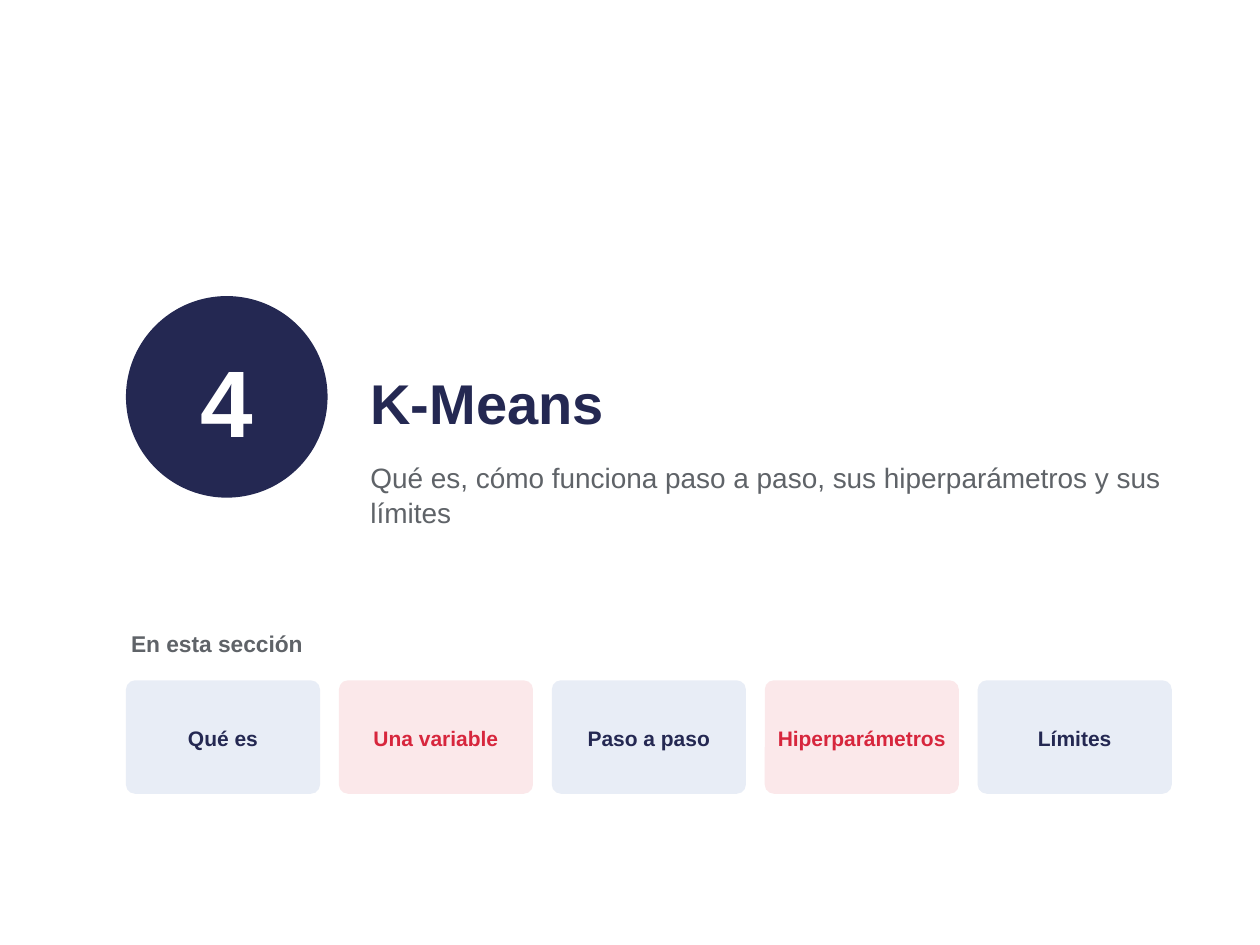
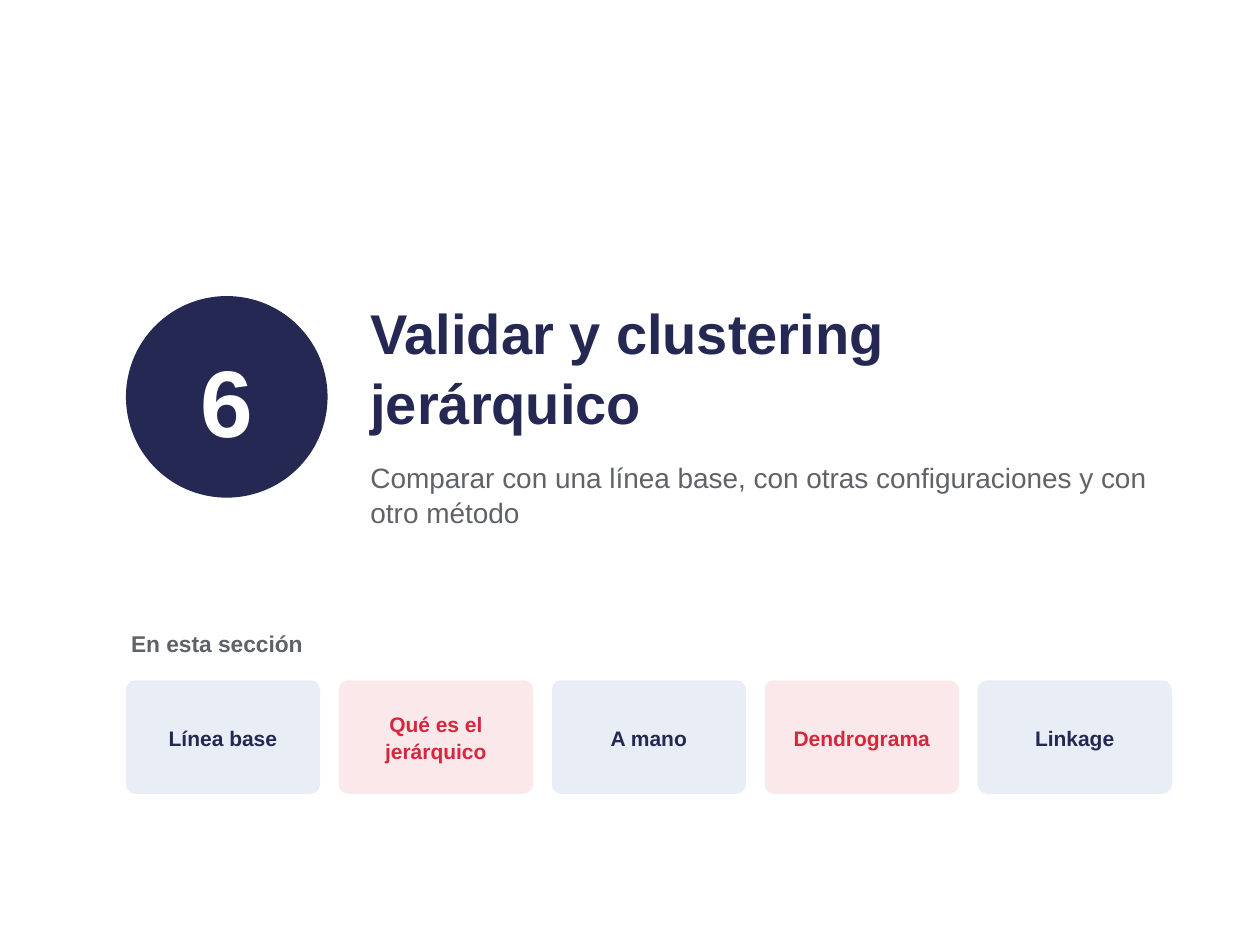
"""Builds two section openers with a numbered disc, a heading and a row of topic cards."""
from dataclasses import dataclass

from pptx import Presentation
from pptx.dml.color import RGBColor
from pptx.enum.shapes import MSO_SHAPE
from pptx.enum.text import MSO_ANCHOR, MSO_AUTO_SIZE, PP_ALIGN
from pptx.util import Pt

OVAL, ROUNDED = MSO_SHAPE.OVAL, MSO_SHAPE.ROUNDED_RECTANGLE
TOP, MIDDLE, BOTTOM = MSO_ANCHOR.TOP, MSO_ANCHOR.MIDDLE, MSO_ANCHOR.BOTTOM
LEFT, CENTER = PP_ALIGN.LEFT, PP_ALIGN.CENTER
NO_AUTOFIT = MSO_AUTO_SIZE.NONE


@dataclass(frozen=True)
class Theme:
    """Colours, type sizes and spacing shared by the slides."""
    font: str = "Arial"
    navy: str = "242852"
    red: str = "D7263D"
    gray: str = "5F6368"
    white: str = "FFFFFF"
    pale_blue: str = "E8EDF6"
    pale_red: str = "FBE8EA"
    number_size: int = 54
    title_size: int = 32
    subtitle_size: int = 16
    label_size: int = 13
    card_size: int = 12
    line_spacing: float = 1.05
    text_inset: float = 2.88
    shape_inset: float = 5.76
    margin: float = 72
    content_width: float = 597.6
    heading_left: float = 208.8
    heading_width: float = 460.8
    card_gap: float = 10.8


def write(sp, text, *, theme, size, color, bold=True, align=LEFT, anchor=TOP, inset, after=4):
    """Write one formatted paragraph into a shape."""
    tf = sp.text_frame
    tf.word_wrap = True
    tf.auto_size = NO_AUTOFIT
    tf.vertical_anchor = anchor
    tf.margin_left = tf.margin_right = tf.margin_top = tf.margin_bottom = Pt(inset)
    p = tf.paragraphs[0]
    p.alignment = align
    p.line_spacing = theme.line_spacing
    p.space_before, p.space_after = Pt(0), Pt(after)
    r = p.add_run()
    r.text = text
    r.font.name, r.font.size, r.font.bold = theme.font, Pt(size), bold
    r.font.color.rgb = RGBColor.from_string(color)


class Deck:
    """Holds the theme and the current slide."""

    def __init__(self, prs, theme):
        """Keep the presentation and its theme."""
        self.prs, self.theme, self.s = prs, theme, None

    def new_slide(self):
        """Start a slide on the title layout."""
        self.s = self.prs.slides.add_slide(self.prs.slide_layouts[0])

    def heading(self, sp, text, top, height, **fmt):
        """Place and fill a heading placeholder."""
        t = self.theme
        sp.left, sp.top = Pt(t.heading_left), Pt(top)
        sp.width, sp.height = Pt(t.heading_width), Pt(height)
        write(sp, text, theme=t, inset=t.text_inset, **fmt)

    def label(self, text, top, height):
        """Add a full-width label."""
        t = self.theme
        sp = self.s.shapes.add_textbox(Pt(t.margin), Pt(top), Pt(t.content_width), Pt(height))
        write(sp, text, theme=t, size=t.label_size, color=t.gray, inset=t.text_inset)

    def shape(self, kind, text, left, top, width, height, fill, **fmt):
        """Add a filled shape with centred text."""
        t = self.theme
        sp = self.s.shapes.add_shape(kind, Pt(left), Pt(top), Pt(width), Pt(height))
        sp.shadow.inherit = False
        sp.fill.solid()
        sp.fill.fore_color.rgb = RGBColor.from_string(fill)
        sp.line.fill.background()
        write(sp, text, theme=t, align=CENTER, anchor=MIDDLE, inset=t.shape_inset, after=3, **fmt)
        return sp

    def cards(self, topics, top, height):
        """Add a row of equal cards in alternating colours."""
        t = self.theme
        width = (t.content_width - t.card_gap * (len(topics) - 1)) / len(topics)
        styles = (t.pale_blue, t.navy), (t.pale_red, t.red)
        for i, topic in enumerate(topics):
            fill, color = styles[i % 2]
            left = t.margin + i * (width + t.card_gap)
            sp = self.shape(ROUNDED, topic, left, top, width, height, fill,
                            size=t.card_size, color=color)
            sp.adjustments[0] = 0.08

    def section(self, number, title, subtitle, topics):
        """Build a complete section opener."""
        t = self.theme
        self.new_slide()
        self.heading(self.s.shapes.title, title, 144, 108,
                     size=t.title_size, color=t.navy, anchor=BOTTOM)
        self.heading(self.s.placeholders[1], subtitle, 259.2, 86.4,
                     size=t.subtitle_size, color=t.gray, bold=False)
        self.shape(OVAL, number, t.margin, 169.2, 115.2, 115.2, t.navy,
                   size=t.number_size, color=t.white)
        self.label("En esta sección", 356.4, 28.8)
        self.cards(topics, 388.8, 64.8)


def main():
    """Build and save the presentation."""
    prs = Presentation()
    prs.slide_width, prs.slide_height = Pt(720), Pt(540)
    deck = Deck(prs, Theme())
    deck.section("4", "K-Means",
                 "Qué es, cómo funciona paso a paso, sus hiperparámetros y sus límites",
                 ["Qué es", "Una variable", "Paso a paso", "Hiperparámetros", "Límites"])
    deck.section("6", "Validar y clustering jerárquico",
                 "Comparar con una línea base, con otras configuraciones y con otro método",
                 ["Línea base", "Qué es el jerárquico", "A mano", "Dendrograma", "Linkage"])
    prs.save("out.pptx")


if __name__ == "__main__":
    main()
